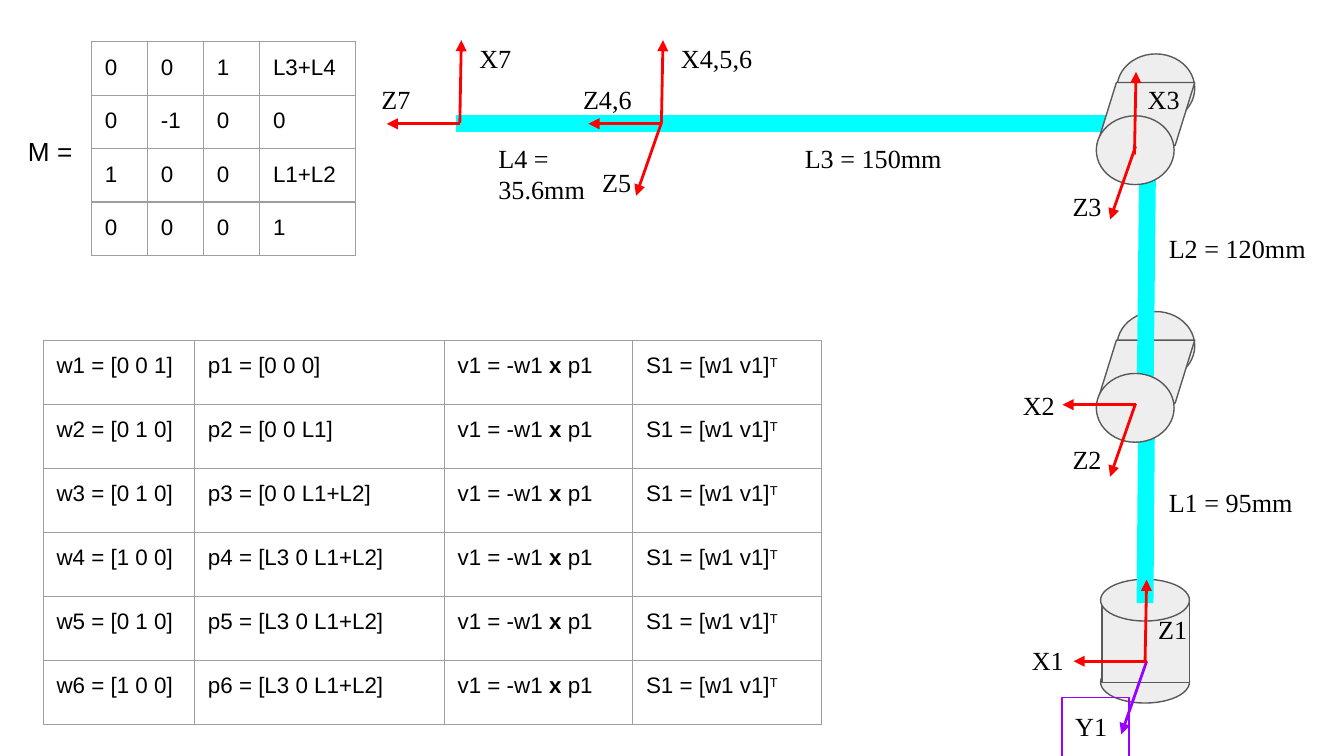
from lxml.etree import SubElement
from pptx import Presentation
from pptx.dml.color import RGBColor
from pptx.enum.shapes import MSO_CONNECTOR, MSO_SHAPE
from pptx.enum.text import MSO_ANCHOR, MSO_AUTO_SIZE
from pptx.oxml import parse_xml
from pptx.oxml.ns import nsdecls, qn
from pptx.util import Cm, Pt

COLORS = {"text": "000000", "link": "00FFFF", "axis": "FF0000", "y_axis": "9900FF",
          "body": "EEEEEE", "edge": "595959", "grid": "9E9E9E"}
SERIF, SANS = "Times New Roman", "Arial"

WRIST_LINK = ((21.08, 2.34), (8.61, 2.34))
ARM_LINKS = [((21.64, 11.4), (21.67, 7.62)), ((21.64, 7.62), (21.69, 2.9))]
JOINT_TOPS = [5.89, 1.02]
BASE_PARTS = [
    (MSO_SHAPE.OVAL, 20.8, 12.5, 1.68, 0.79),
    (MSO_SHAPE.RECTANGLE, 20.83, 11.35, 1.65, 1.55),
    (MSO_SHAPE.OVAL, 20.8, 10.95, 1.68, 0.79),
]

DIRECTIONS = {"up": (0.03, -1.56), "left": (-1.38, 0), "out": (-0.48, 1.38)}
AXES = [
    (21.64, 12.52, "up", "axis"),
    (21.67, 12.5, "out", "y_axis"),
    (21.67, 12.5, "left", "axis"),
    (21.46, 7.65, "left", "axis"),
    (21.46, 7.63, "out", "axis"),
    (21.44, 2.92, "up", "axis"),
    (21.46, 2.77, "out", "axis"),
    (12.5, 2.32, "up", "axis"),
    (12.5, 2.34, "left", "axis"),
    (12.5, 2.32, "out", "axis"),
    (8.69, 2.32, "up", "axis"),
    (8.69, 2.34, "left", "axis"),
]

LABELS = [
    ("Z1", 21.64, 11.35, 1.27), ("Z2", 20.02, 8.13, 1.27),
    ("Z3", 20.02, 3.35, 1.27), ("Z5", 11.13, 2.9, 1.27),
    ("Z4,6", 10.77, 1.32, 1.65), ("Z7", 6.96, 1.32, 1.65),
    ("X1", 19.25, 11.94, 1.27), ("X2", 19.08, 7.11, 1.27),
    ("X3", 21.44, 1.32, 1.27), ("X4,5,6", 12.62, 0.56, 2.03),
    ("X7", 8.81, 0.56, 2.03),
    ("L1 = 95mm", 21.84, 8.94, 3.2), ("L2 = 120mm", 21.84, 4.14, 3.2),
    ("L3 = 150mm", 14.96, 2.44, 3.2), ("L4 = 35.6mm", 9.17, 2.44, 3.2),
]

HOME_MATRIX = [
    ["0", "0", "1", "L3+L4"],
    ["0", "-1", "0", "0"],
    ["1", "0", "0", "L1+L2"],
    ["0", "0", "0", "1"],
]
SCREW_AXES = [
    ("w1 = [0 0 1]", "p1 = [0 0 0]"),
    ("w2 = [0 1 0]", "p2 = [0 0 L1]"),
    ("w3 = [0 1 0]", "p3 = [0 0 L1+L2]"),
    ("w4 = [1 0 0]", "p4 = [L3 0 L1+L2]"),
    ("w5 = [0 1 0]", "p5 = [L3 0 L1+L2]"),
    ("w6 = [1 0 0]", "p6 = [L3 0 L1+L2]"),
]
VELOCITY = [("v1 = -w1 ", ""), ("x", "bold"), (" p1", "")]
SCREW = [("S1 = [w1 v1]", ""), ("T", "super")]

presentation = Presentation()
presentation.slide_width, presentation.slide_height = Cm(25.4), Cm(14.29)
slide = presentation.slides.add_slide(presentation.slide_layouts[6])
shapes = slide.shapes


def rgb(name):
    return RGBColor.from_string(COLORS[name])


def write(holder, text, size=14, font=SERIF, color="text"):
    runs = [(text, "")] if isinstance(text, str) else text
    paragraph = holder.text_frame.paragraphs[0]
    for content, style in runs:
        run = paragraph.add_run()
        run.text = content
        run.font.size, run.font.name = Pt(size), font
        run.font.bold = style == "bold"
        run.font.color.rgb = rgb(color)
        if style == "super":
            run._r.get_or_add_rPr().set("baseline", "30000")


def pad(area):
    area.margin_left = area.margin_right = Cm(0.25)
    area.margin_top = area.margin_bottom = Cm(0.25)


def add_label(text, x, y, width, font=SERIF, outline=None):
    label = shapes.add_textbox(Cm(x), Cm(y), Cm(width), Cm(1.12))
    frame = label.text_frame
    frame.word_wrap = True
    frame.auto_size = MSO_AUTO_SIZE.SHAPE_TO_FIT_TEXT
    pad(frame)
    if outline:
        label.line.color.rgb, label.line.width = rgb(outline), Pt(0.75)
    write(label, text, font=font)


def add_line(start, end, color, width, arrow=False):
    line = shapes.add_connector(MSO_CONNECTOR.STRAIGHT, *map(Cm, start + end))
    line.line.color.rgb, line.line.width = rgb(color), Pt(width)
    if arrow:
        SubElement(line.line._get_or_add_ln(), qn("a:tailEnd"), type="triangle")
    SubElement(line._element.spPr, qn("a:effectLst"))


def add_body(kind, x, y, width, height):
    body = shapes.add_shape(kind, Cm(x), Cm(y), Cm(width), Cm(height))
    body.shadow.inherit = False
    body.fill.solid()
    body.fill.fore_color.rgb = rgb("body")
    body.line.color.rgb, body.line.width = rgb("edge"), Pt(0.75)


def add_grid(rows, x, y, widths, row_height):
    table = shapes.add_table(len(rows), len(widths), Cm(x), Cm(y),
                             Cm(sum(widths)), Cm(row_height * len(rows))).table
    table.first_row = table.horz_banding = False
    for column, width in zip(table.columns, widths):
        column.width = Cm(width)
    for row, texts in zip(table.rows, rows):
        row.height = Cm(row_height)
        for cell, text in zip(row.cells, texts):
            pad(cell)
            cell.vertical_anchor = MSO_ANCHOR.TOP
            write(cell, text, size=12, font=SANS)
            cell.fill.background()
            for index, side in enumerate(("lnL", "lnR", "lnT", "lnB")):
                cell._tc.get_or_add_tcPr().insert(index, parse_xml(
                    f'<a:{side} {nsdecls("a")} w="9525"><a:solidFill>'
                    f'<a:srgbClr val="{COLORS["grid"]}"/></a:solidFill></a:{side}>'))


add_line(*WRIST_LINK, "link", 9)
for part in BASE_PARTS:
    add_body(*part)
for top in JOINT_TOPS:
    add_body(MSO_SHAPE.OVAL, 21.11, top, 1.47, 1.3)
    add_body(MSO_SHAPE.FLOWCHART_DATA, 20.73, top + 0.54, 1.85, 1.19)
for link in ARM_LINKS:
    add_line(*link, "link", 9)
for top in JOINT_TOPS:
    add_body(MSO_SHAPE.OVAL, 20.72, top + 1.17, 1.47, 1.3)

for x, y, direction, color in AXES:
    dx, dy = DIRECTIONS[direction]
    add_line((x, y), (x + dx, y + dy), color, 1.5, arrow=True)
for label in LABELS:
    add_label(*label)

add_grid([[w, p, VELOCITY, SCREW] for w, p in SCREW_AXES],
         0.82, 6.43, [2.86, 4.72, 3.56, 3.56], 1.21)
add_grid(HOME_MATRIX, 1.73, 0.79, [1.06, 1.06, 1.06, 1.81], 1.01)
add_label("M =", 0.28, 2.31, 1.37, font=SANS)
add_label("Y1", 20.07, 13.18, 1.27, outline="y_axis")

presentation.save("out.pptx")
